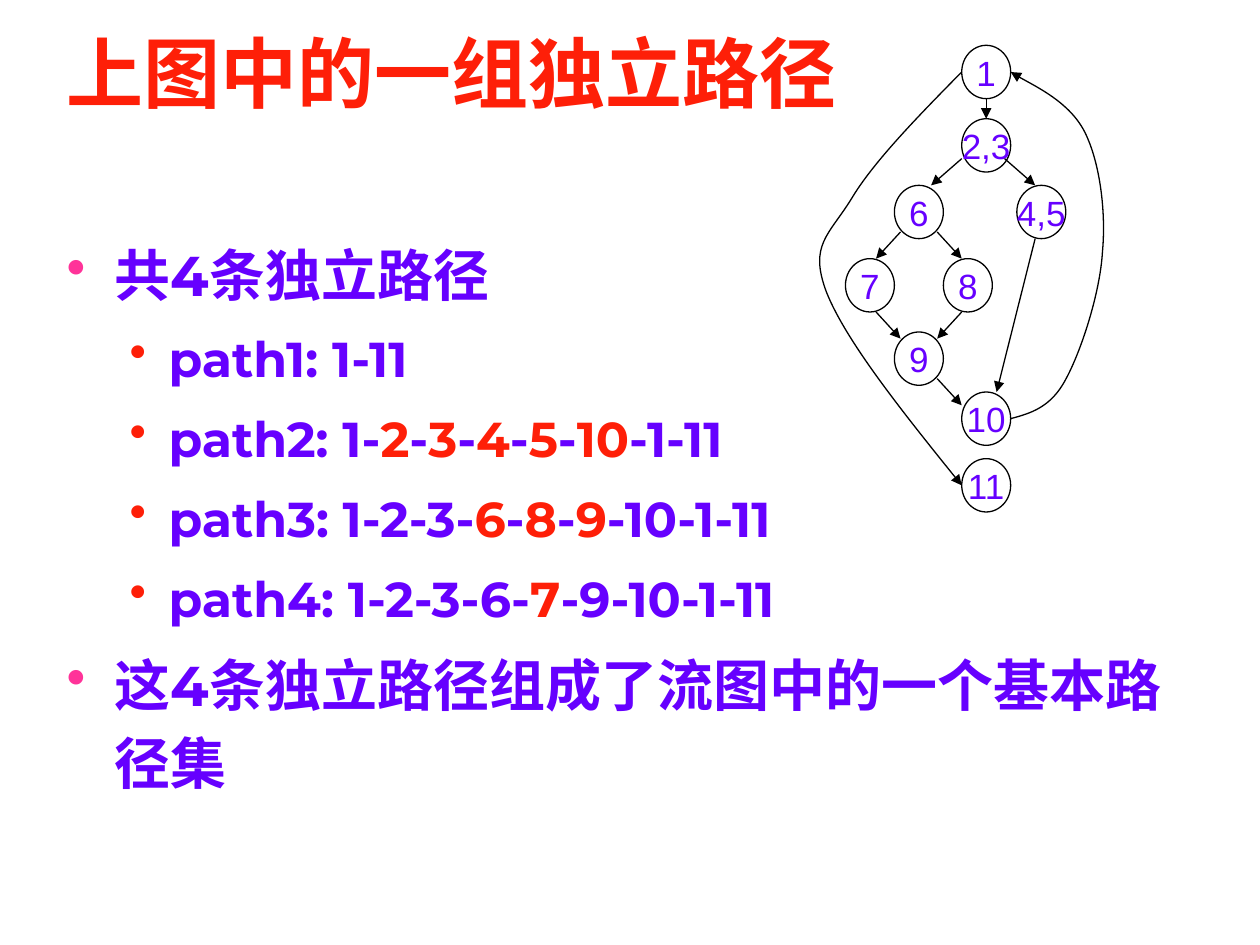
from dataclasses import dataclass

import pptx
import pptx.dml.color
import pptx.enum.shapes
import pptx.enum.text
import pptx.oxml
import pptx.oxml.ns
import pptx.util
from lxml import etree

RGBColor = pptx.dml.color.RGBColor
RED = RGBColor(0xFE, 0x1F, 0x08)
VIOLET = RGBColor(0x66, 0x00, 0xFF)
PINK = RGBColor(0xFF, 0x33, 0x99)
BLACK = RGBColor(0, 0, 0)
HEADING_FONT, NODE_FONT = "Montserrat", "Arial"

# The flow graph sits on a fine grid; every node spans NODE_SPAN cells each way
WIDTH, HEIGHT = pptx.util.Inches(10), pptx.util.Inches(7.5)
GRAPH_LEFT, GRAPH_TOP = pptx.util.Inches(6.71), pptx.util.Inches(0.36)
COLUMN, ROW = pptx.util.Inches(1.36) / 28, pptx.util.Inches(3.28) / 62
NODE_SPAN = 8

Point = tuple[float, float]


@dataclass(frozen=True)
class Node:
    label: str
    column: float
    row: float


@dataclass(frozen=True)
class Edge:
    start: Point
    end: Point


@dataclass(frozen=True)
class Level:
    size: float
    margin: float
    hanging: float
    space_before: float
    bullet_color: RGBColor


LEVELS = [Level(32, 0.38, 0.38, 8, PINK), Level(28, 0.81, 0.31, 7, RED)]

# Pieces between bars alternate between violet and red
PATH_LINES = [
    (0, "共4条独立路径"),
    (1, "path1: 1-11"),
    (1, "path2: 1-|2|-|3|-|4|-|5|-|10|-1-11"),
    (1, "path3: 1-2-3-|6|-|8|-|9|-10-1-11"),
    (1, "path4: 1-2-3-6-|7|-9-10-1-11"),
    (0, "这4条独立路径组成了流图中的一个基本路径集"),
]

NODES = [
    Node("1", 19, 0), Node("2,3", 19, 11), Node("6", 8, 21),
    Node("4,5", 28, 21), Node("7", 0, 32), Node("8", 16, 32),
    Node("9", 8, 43), Node("10", 19, 52), Node("11", 19, 62),
]

EDGES = [
    Edge((31, 29), (24.7, 52)),   # 4,5 to 10
    Edge((23, 8), (23, 11)),      # 1 to 2,3
    Edge((19, 17), (14, 21)),     # 2,3 to 6
    Edge((26, 17), (31, 21)),     # 2,3 to 4,5
    Edge((9, 28), (5, 32)),       # 6 to 7
    Edge((15, 28), (19, 32)),     # 6 to 8
    Edge((19, 40), (15, 44)),     # 8 to 9
    Edge((5, 40), (9, 44)),       # 7 to 9
    Edge((15, 50), (19, 54)),     # 9 to 10
]

# Start point, then two control points and an end point per curve
LOOP_10_TO_1 = [
    (27, 56), (30.3, 55.2), (33.6, 54.3), (36, 50.1),
    (38.5, 45.9), (41.6, 37.2), (42, 31),
    (42.6, 25), (41.6, 17.6), (39.1, 13),
    (36.6, 8.5), (28.8, 5.1), (27, 4),
]
EXIT_1_TO_11 = [
    (19, 4), (11.7, 10.8), (4.5, 17.6), (1, 23),
    (-2.7, 28.5), (-6, 29.9), (-3.1, 37),
    (0, 44.2), (9.5, 55.2), (19, 66),
]


def on_grid(point: Point) -> tuple[int, int]:
    column, row = point
    return round(GRAPH_LEFT + column * COLUMN), round(GRAPH_TOP + row * ROW)


def add_element(parent, tag: str, **attributes: str):
    return etree.SubElement(parent, pptx.oxml.ns.qn(tag), attributes)


def style_run(run, size: float, font: str, color: RGBColor, bold: bool) -> None:
    run.font.size = pptx.util.Pt(size)
    run.font.name = font
    run.font.color.rgb = color
    run.font.bold = bold


def style_outline(line) -> None:
    line.color.rgb = BLACK
    line.width = pptx.util.Pt(0.75)


def add_arrowhead(line) -> None:
    add_element(line._get_or_add_ln(), "a:tailEnd", type="triangle")


def write_title(title) -> None:
    title.left, title.top = round(WIDTH * 0.043), round(HEIGHT * 0.028)
    title.width, title.height = round(WIDTH * 0.906), round(HEIGHT * 0.095)
    frame = title.text_frame
    frame.text = "上图中的一组独立路径"
    frame.auto_size = pptx.enum.text.MSO_AUTO_SIZE.NONE
    frame.vertical_anchor = pptx.enum.text.MSO_ANCHOR.MIDDLE
    heading = frame.paragraphs[0]
    heading.alignment = pptx.enum.text.PP_ALIGN.LEFT
    style_run(heading.runs[0], 44, HEADING_FONT, RED, True)


def write_path_line(paragraph, depth: int, marked: str, first: bool) -> None:
    level = LEVELS[depth]
    paragraph.level = depth
    paragraph.line_spacing = 1.15
    paragraph.space_before = pptx.util.Pt(0 if first else level.space_before)
    properties = paragraph._p.get_or_add_pPr()
    properties.set("marL", str(pptx.util.Inches(level.margin)))
    properties.set("indent", str(-pptx.util.Inches(level.hanging)))
    bullet_color = add_element(properties, "a:buClr")
    add_element(bullet_color, "a:srgbClr", val=str(level.bullet_color))
    add_element(properties, "a:buChar", char="•")
    for index, piece in enumerate(marked.split("|")):
        run = paragraph.add_run()
        run.text = piece
        style_run(run, level.size, HEADING_FONT, RED if index % 2 else VIOLET, True)


def write_paths(slide) -> None:
    path_list = slide.shapes.add_textbox(
        round(WIDTH * 0.043), round(HEIGHT * 0.237),
        round(WIDTH * 0.914), round(HEIGHT * 0.65))
    frame = path_list.text_frame
    frame.word_wrap = True
    for index, (depth, marked) in enumerate(PATH_LINES):
        paragraph = frame.add_paragraph() if index else frame.paragraphs[0]
        write_path_line(paragraph, depth, marked, index == 0)


def draw_node(graph, node: Node) -> None:
    left, top = on_grid((node.column, node.row))
    circle = graph.shapes.add_shape(
        pptx.enum.shapes.MSO_SHAPE.OVAL, left, top,
        round(NODE_SPAN * COLUMN), round(NODE_SPAN * ROW))
    circle.shadow.inherit = False
    circle.fill.background()
    style_outline(circle.line)
    frame = circle.text_frame
    frame.text = node.label
    frame.word_wrap = False
    frame.vertical_anchor = pptx.enum.text.MSO_ANCHOR.MIDDLE
    frame.paragraphs[0].alignment = pptx.enum.text.PP_ALIGN.CENTER
    style_run(frame.paragraphs[0].runs[0], 20, NODE_FONT, VIOLET, False)


def draw_edge(graph, edge: Edge) -> None:
    arrow = graph.shapes.add_connector(
        pptx.enum.shapes.MSO_CONNECTOR.STRAIGHT,
        *on_grid(edge.start), *on_grid(edge.end))
    style_outline(arrow.line)
    add_arrowhead(arrow.line)
    add_element(arrow._element.spPr, "a:effectLst")


def draw_curve(graph, points: list[Point]) -> None:
    start, *others = [on_grid(point) for point in points]
    builder = graph.shapes.build_freeform(*start)
    builder.add_line_segments(others, close=False)
    curve = builder.convert_to_shape()
    # Every three straight segments become one cubic curve
    segments = list(curve._element.iter(pptx.oxml.ns.qn("a:lnTo")))
    for index in range(0, len(segments), 3):
        cubic = pptx.oxml.parse_xml(
            f"<a:cubicBezTo {pptx.oxml.ns.nsdecls('a')}/>")
        segments[index].addprevious(cubic)
        for segment in segments[index:index + 3]:
            cubic.append(segment[0])
            segment.getparent().remove(segment)
    curve.shadow.inherit = False
    curve.fill.background()
    style_outline(curve.line)
    add_arrowhead(curve.line)


def main() -> None:
    presentation = pptx.Presentation()
    presentation.slide_width, presentation.slide_height = WIDTH, HEIGHT
    slide = presentation.slides.add_slide(presentation.slide_layouts[5])
    write_title(slide.shapes.title)
    write_paths(slide)

    # Flow graph
    graph = slide.shapes.add_group_shape()
    for node in NODES:
        draw_node(graph, node)
    for edge in EDGES:
        draw_edge(graph, edge)
    for points in (LOOP_10_TO_1, EXIT_1_TO_11):
        draw_curve(graph, points)
    presentation.save("out.pptx")


if __name__ == "__main__":
    main()
